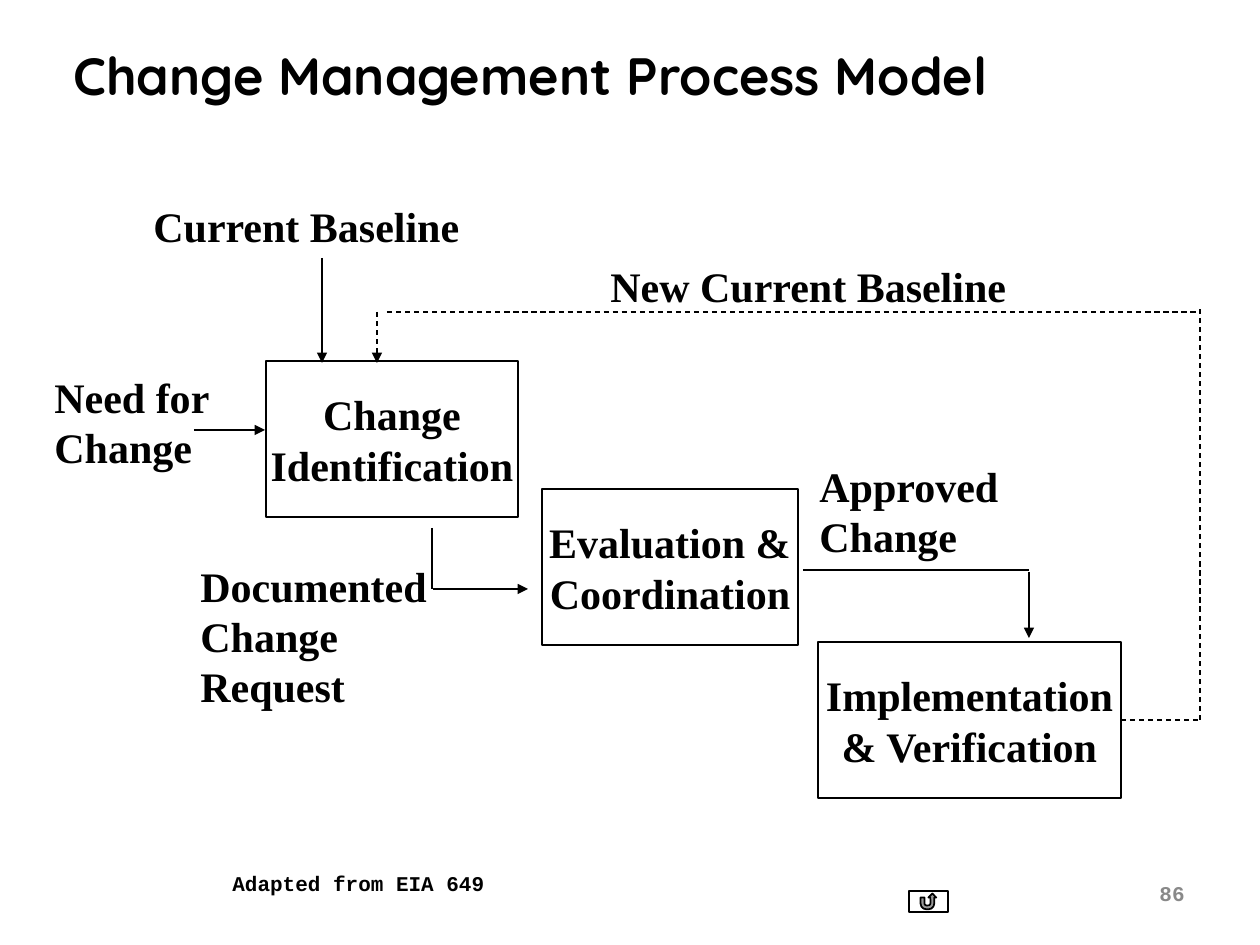
import pptx
import pptx.dml.color
import pptx.enum.dml
import pptx.enum.shapes
import pptx.enum.text
import pptx.oxml
import pptx.oxml.ns
import pptx.util

SCALE = 914400 / 126  # EMU in one px
BLACK = pptx.dml.color.RGBColor(0x00, 0x00, 0x00)
WHITE = pptx.dml.color.RGBColor(0xFF, 0xFF, 0xFF)
GREY = pptx.dml.color.RGBColor(0x89, 0x89, 0x89)
SERIF, MONO, HEAD = "Times New Roman", "Courier New", "Quicksand"
ALIGN = pptx.enum.text.PP_ALIGN
ANCHOR = pptx.enum.text.MSO_ANCHOR
SHAPE = pptx.enum.shapes.MSO_SHAPE


def px(*sizes):
    return [pptx.util.Emu(round(size * SCALE)) for size in sizes]


def write(frame, lines, font=SERIF, size=24, color=BLACK, align=ALIGN.LEFT,
          anchor=ANCHOR.TOP, wrap=False, space=None):
    frame.word_wrap = wrap
    frame.vertical_anchor = anchor
    for i, line in enumerate(lines):
        para = frame.paragraphs[0] if i == 0 else frame.add_paragraph()
        para.alignment = align
        para.line_spacing = space
        run = para.add_run()
        run.text = line
        run.font.name = font
        run.font.size = pptx.util.Pt(size)
        run.font.bold = True
        run.font.color.rgb = color


def label(slide, area, lines, **style):
    box = slide.shapes.add_textbox(*px(*area))
    write(box.text_frame, lines, **style)


def block(slide, kind, area, weight):
    shape = slide.shapes.add_shape(kind, *px(*area))
    shape.shadow.inherit = False
    shape.fill.solid()
    shape.fill.fore_color.rgb = WHITE
    shape.line.color.rgb = BLACK
    shape.line.width = pptx.util.Pt(weight)
    return shape


def step(slide, area, lines, weight=0.75):
    shape = block(slide, SHAPE.RECTANGLE, area, weight)
    write(shape.text_frame, lines, align=ALIGN.CENTER, anchor=ANCHOR.MIDDLE)
    return shape


def link(slide, ends, arrow=False, dash=False):
    line = slide.shapes.add_connector(
        pptx.enum.shapes.MSO_CONNECTOR.STRAIGHT, *px(*ends))
    line.line.color.rgb = BLACK
    line.line.width = pptx.util.Pt(0.75)
    if dash:
        line.line.dash_style = pptx.enum.dml.MSO_LINE.DASH
    if arrow:
        add_xml(line.line._get_or_add_ln(), '<a:tailEnd %s type="triangle"/>')
    add_xml(line._element.spPr, "<a:effectLst %s/>")
    return line


def add_xml(parent, text):
    parent.append(pptx.oxml.parse_xml(text % pptx.oxml.ns.nsdecls("a")))


def main():
    deck = pptx.Presentation()
    deck.slide_width, deck.slide_height = px(1260, 945)
    slide = deck.slides.add_slide(deck.slide_layouts[6])

    # Title, return button and page number
    block(slide, SHAPE.ACTION_BUTTON_RETURN, (909, 891, 39, 21), 1)
    label(slide, (903, 860, 294, 66), ["86"], font=MONO, size=12, color=GREY,
          align=ALIGN.RIGHT, anchor=ANCHOR.MIDDLE, wrap=True)
    label(slide, (61, 0, 1134, 157), ["Change Management Process Model"],
          font=HEAD, size=30, anchor=ANCHOR.MIDDLE, wrap=True, space=0.9)

    # Process steps
    step(slide, (266, 361, 252, 156), ["Change", "Identification"], 1)
    step(slide, (542, 489, 256, 156), ["Evaluation &", "Coordination"])
    final = step(slide, (818, 642, 303, 156),
                 ["Implementation", "& Verification"])

    # Inputs and flow between the steps
    link(slide, (194, 430, 265, 430), arrow=True)
    link(slide, (322, 258, 322, 363), arrow=True)
    link(slide, (432, 528, 432, 589))
    link(slide, (433, 589, 528, 589), arrow=True)
    link(slide, (803, 570, 1029, 570))
    link(slide, (1029, 572, 1029, 638), arrow=True)

    # Flow labels, each wide enough for its longest line
    label(slide, (42, 365, 190, 113), ["Need for", "Change"])
    label(slide, (141, 194, 340, 63), ["Current Baseline"])
    label(slide, (598, 254, 430, 63), ["New Current Baseline"])
    label(slide, (188, 554, 264, 164), ["Documented", "Change", "Request"])
    label(slide, (807, 454, 212, 113), ["Approved", "Change"])
    label(slide, (220, 864, 290, 38), ["Adapted from EIA 649"],
          font=MONO, size=12, wrap=True)

    # Dashed feedback loop to the first step
    back = link(slide, (1121, 720, 1200, 720), dash=True)
    back.begin_connect(final, 3)
    link(slide, (1200, 720, 1200, 307), dash=True)
    link(slide, (387, 312, 1200, 312), dash=True)
    link(slide, (377, 312, 377, 363), arrow=True, dash=True)

    deck.save("out.pptx")


if __name__ == "__main__":
    main()
